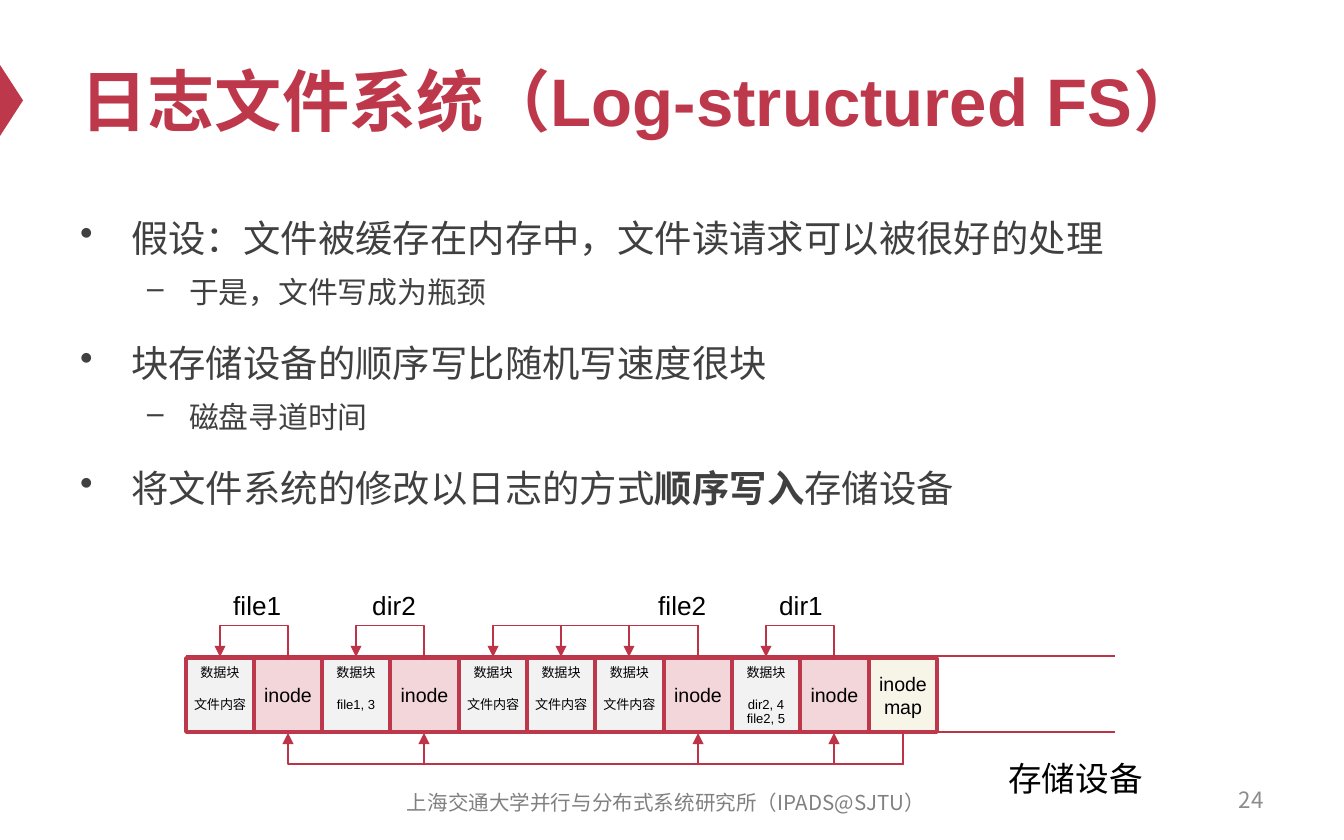
from dataclasses import dataclass

from lxml import etree
from pptx import Presentation
from pptx.dml.color import RGBColor
from pptx.enum.shapes import MSO_CONNECTOR, MSO_SHAPE
from pptx.enum.text import MSO_ANCHOR, MSO_AUTO_SIZE, PP_ALIGN
from pptx.oxml.ns import qn
from pptx.util import Pt

RECTANGLE, TRIANGLE = MSO_SHAPE.RECTANGLE, MSO_SHAPE.ISOSCELES_TRIANGLE
STRAIGHT, ELBOW = MSO_CONNECTOR.STRAIGHT, MSO_CONNECTOR.ELBOW
LEFT, CENTER, RIGHT = PP_ALIGN.LEFT, PP_ALIGN.CENTER, PP_ALIGN.RIGHT
TOP, MIDDLE = MSO_ANCHOR.TOP, MSO_ANCHOR.MIDDLE
NO_FIT = MSO_AUTO_SIZE.NONE

EMU_PER_PX = 914400 / 134.4
TITLE_ONLY = 5


def px(length):
    return round(length * EMU_PER_PX)


@dataclass(frozen=True)
class Theme:
    latin: str = "Arial"
    chinese: str = "Noto Sans CJK SC"
    accent: str = "BE384B"
    wire: str = "BD3347"
    body: str = "404040"
    black: str = "000000"
    footer: str = "808080"
    number: str = "8C8C8C"
    data_fill: str = "F2F2F2"
    inode_fill: str = "F3D6DA"
    map_fill: str = "F7F4E8"
    title_size: float = 36
    level_sizes: tuple = (20, 16)
    device_size: float = 18
    label_size: float = 14
    number_size: float = 12
    footer_size: float = 11
    inode_size: float = 10.5
    data_size: float = 7


def write(para, text, size, color, font, bold=False, align=LEFT,
          line=None, before=None):
    """Add one formatted span to a paragraph."""
    para.alignment = align
    if line:
        para.line_spacing = Pt(line)
    if before:
        para.space_before = Pt(before)
    span = para.add_run()
    span.text = text
    span.font.size = Pt(size)
    span.font.bold = bold
    span.font.name = font
    span.font.color.rgb = RGBColor.from_string(color)


def next_para(frame, index):
    return frame.paragraphs[0] if index == 0 else frame.add_paragraph()


class SlideBuilder:
    def __init__(self, page, theme):
        self.page = page
        self.theme = theme

    def title(self, text, left, top, width, height):
        box = self.page.shapes.title
        box.left, box.top, box.width, box.height = map(px, (left, top, width, height))
        frame = box.text_frame
        frame.auto_size = NO_FIT
        frame.vertical_anchor = MIDDLE
        write(frame.paragraphs[0], text, self.theme.title_size,
              self.theme.accent, self.theme.latin, bold=True)

    def textbox(self, left, top, width, height, anchor=MIDDLE, wrap=True):
        box = self.page.shapes.add_textbox(*map(px, (left, top, width, height)))
        frame = box.text_frame
        frame.word_wrap = wrap
        frame.auto_size = NO_FIT
        frame.vertical_anchor = anchor
        return frame

    def label(self, text, left, top, width, height, size, color=None, font=None,
              align=LEFT, wrap=False):
        frame = self.textbox(left, top, width, height, wrap=wrap)
        write(frame.paragraphs[0], text, size, color or self.theme.black,
              font or self.theme.latin, align=align)

    def outline(self, items, left, top, width, height):
        frame = self.textbox(left, top, width, height, anchor=TOP)
        styles = (("•", 51, 51, 28.8, 12), ("–", 109, 42, 23, 3.2))
        for index, (level, spans) in enumerate(items):
            mark, margin, hang, line, before = styles[level]
            para = next_para(frame, index)
            para.level = level
            properties = para._p.get_or_add_pPr()
            properties.set("marL", str(px(margin)))
            properties.set("indent", str(-px(hang)))
            etree.SubElement(properties, qn("a:buChar"), char=mark)
            for text, bold in spans:
                write(para, text, self.theme.level_sizes[level], self.theme.body,
                      self.theme.latin, bold=bold, line=line,
                      before=before if index else None)

    def shape(self, kind, left, top, width, height, fill, outline=None):
        shape = self.page.shapes.add_shape(kind, *map(px, (left, top, width, height)))
        shape.shadow.inherit = False
        shape.fill.solid()
        shape.fill.fore_color.rgb = RGBColor.from_string(fill)
        if outline:
            shape.line.color.rgb = RGBColor.from_string(outline)
            shape.line.width = Pt(2)
        else:
            shape.line.fill.background()
        return shape

    def block(self, lines, left, top, width, height, fill, is_data):
        theme = self.theme
        frame = self.shape(RECTANGLE, left, top, width, height, fill, theme.accent).text_frame
        frame.word_wrap = False
        frame.margin_left = frame.margin_right = frame.margin_bottom = 0
        frame.margin_top = px(7) if is_data else 0
        frame.vertical_anchor = TOP if is_data else MIDDLE
        for index, text in enumerate(lines):
            write(next_para(frame, index), text,
                  theme.data_size if is_data else theme.inode_size,
                  theme.black, theme.latin, align=CENTER,
                  line=8 if is_data else None,
                  before=9 if is_data and index == 1 else None)

    def connector(self, kind, x1, y1, x2, y2):
        wire = self.page.shapes.add_connector(kind, *map(px, (x1, y1, x2, y2)))
        wire.line.color.rgb = RGBColor.from_string(self.theme.wire)
        wire.line.width = Pt(0.75)
        etree.SubElement(wire._element.spPr, qn("a:effectLst"))
        return wire

    def pointer(self, start, end, y, above, reach=33):
        """U-shaped arrow running right to left, over or under the row."""
        middle, span, depth = (start + end) / 2, start - end, 2
        wire = self.connector(ELBOW, middle - depth / 2, y - span / 2,
                              middle + depth / 2, y + span / 2)
        frame = wire._element.spPr.find(qn("a:xfrm"))
        frame.set("rot", str((270 if above else 90) * 60000))
        if above:
            frame.set("flipV", "1")
        guides = wire._element.spPr.find(qn("a:prstGeom")).get_or_add_avLst()
        etree.SubElement(guides, qn("a:gd"), name="adj1",
                         fmla=f"val {reach * 100000 // depth}")
        etree.SubElement(wire.line._get_or_add_ln(), qn("a:tailEnd"), type="triangle")


def main():
    theme = Theme()
    deck = Presentation()
    deck.slide_width, deck.slide_height = px(1344), px(840)
    page = deck.slides.add_slide(deck.slide_layouts[TITLE_ONLY])
    slide = SlideBuilder(page, theme)

    # Title and its marker
    slide.shape(TRIANGLE, -24, 89, 71, 23, theme.accent).rotation = 90
    slide.title("日志文件系统（Log-structured FS）", 67, 34, 1210, 132)

    # Argument
    slide.outline([
        (0, [("假设：文件被缓存在内存中，文件读请求可以被很好的处理", False)]),
        (1, [("于是，文件写成为瓶颈", False)]),
        (0, [("块存储设备的顺序写比随机写速度很块", False)]),
        (1, [("磁盘寻道时间", False)]),
        (0, [("将文件系统的修改以日志的方式", False), ("顺序写入", True),
             ("存储设备", False)]),
    ], 67, 200, 1210, 350)

    # Footer
    slide.label("24", 964, 778, 313, 44, theme.number_size, theme.number,
                theme.chinese, RIGHT, wrap=True)
    slide.label("上海交通大学并行与分布式系统研究所（IPADS@SJTU）", 375, 780, 582, 44,
                theme.footer_size, theme.footer, theme.chinese, CENTER, wrap=True)

    # Storage device: two rails and the log blocks between them
    row_left, row_top, row_height = 186, 658, 74
    edges = [row_left + index * 683 // 10 for index in range(12)]
    for y in (656, 732):
        slide.connector(STRAIGHT, row_left, y, 1115, y)

    content = ("数据块", "文件内容")
    inode = ("inode",)
    blocks = [content, inode, ("数据块", "file1, 3"), inode, content, content,
              content, inode, ("数据块", "dir2, 4", "file2, 5"), inode,
              ("inode", "map")]
    fills = {"数据块": theme.data_fill, "inode": theme.inode_fill}
    for index, lines in enumerate(blocks):
        fill = theme.map_fill if "map" in lines else fills[lines[0]]
        slide.block(lines, edges[index], row_top, edges[index + 1] - edges[index],
                    row_height, fill, is_data=lines[0] == "数据块")

    # Pointers: inode to data above the row, inode map to inodes below it
    centers = [(a + b) // 2 for a, b in zip(edges, edges[1:])]
    for source, target in ((1, 0), (3, 2), (7, 4), (7, 5), (7, 6), (9, 8)):
        slide.pointer(centers[source], centers[target], row_top, above=True)
    for target in (1, 3, 7, 9):
        slide.pointer(centers[10], centers[target], row_top + row_height, above=False)

    # Names
    for text, left in (("file1", 220), ("dir2", 359), ("file2", 645), ("dir1", 766)):
        slide.label(text, left, 582, 75, 46, theme.label_size)
    slide.label("存储设备", 995, 751, 163, 54, theme.device_size)

    deck.save("out.pptx")


if __name__ == "__main__":
    main()
